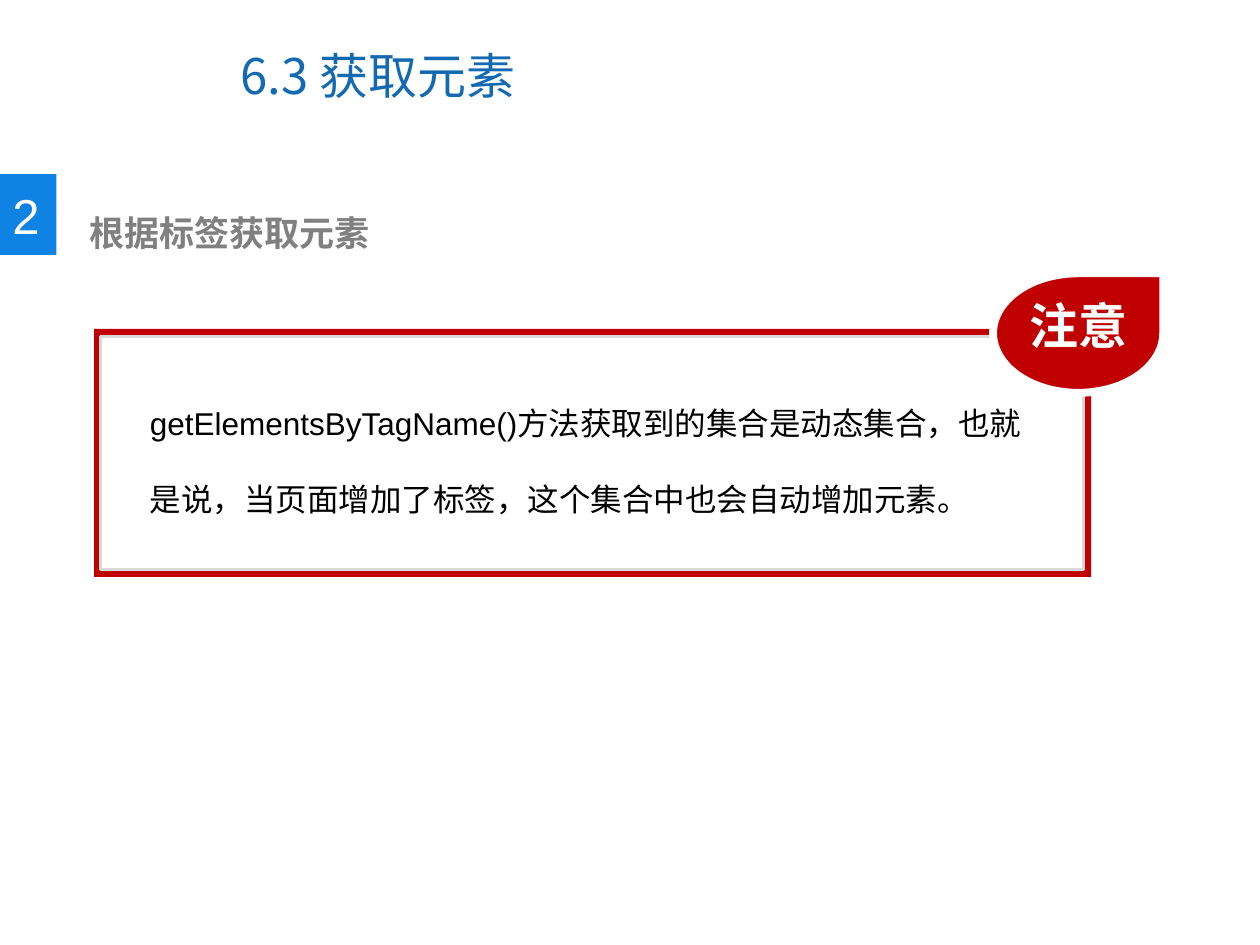
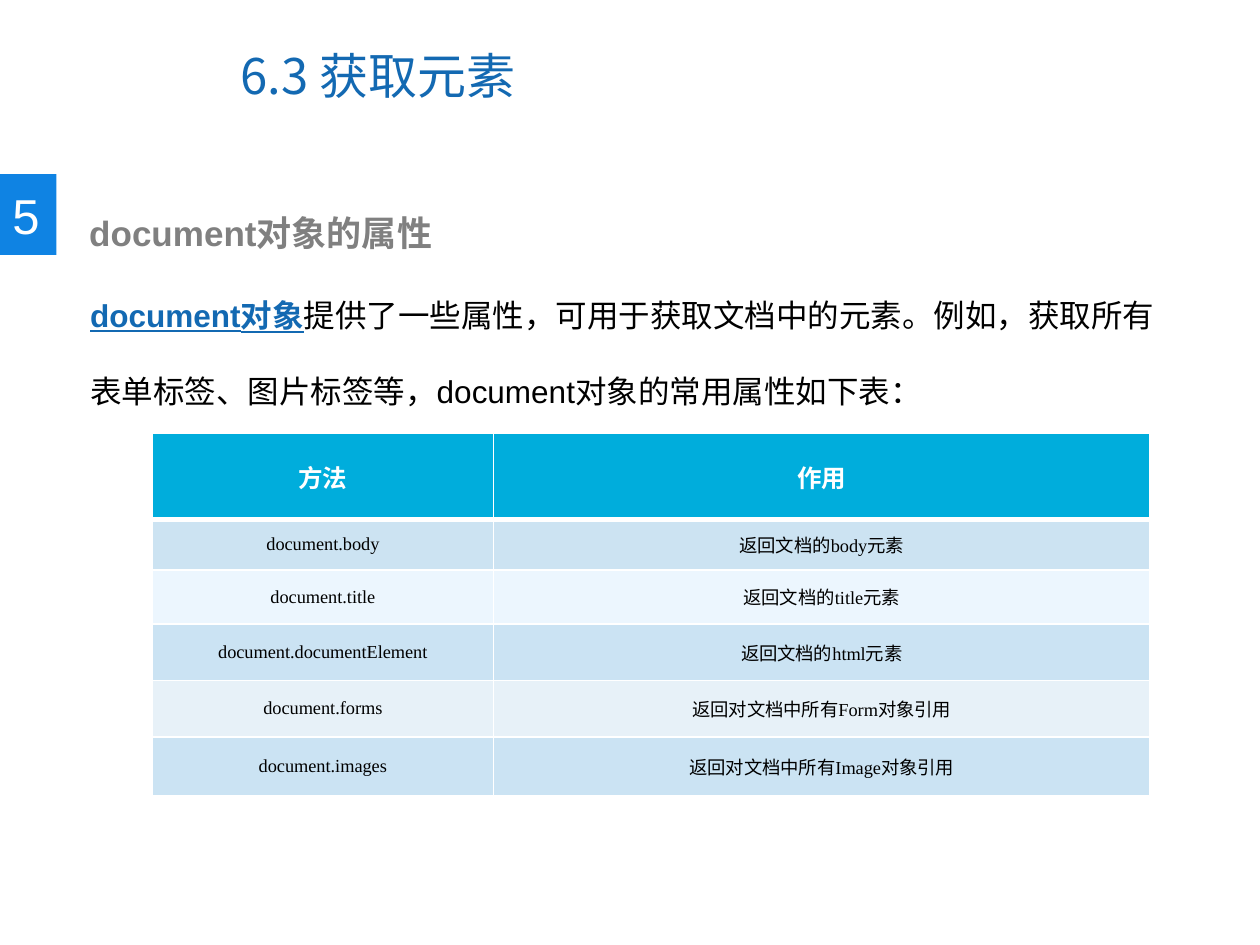
from pptx import Presentation
from pptx import util as u
from pptx.dml.color import RGBColor
from pptx.enum import shapes, text
from pptx.oxml import ns, xmlchemy

Cm, Pt = u.Cm, u.Pt
COLORS = {
    "title": "1369B2", "badge": "0F83E3", "heading": "808080",
    "warning": "C00000", "frame": "D9D9D9", "header": "00ADDC",
    "white": "FFFFFF", "black": "000000",
}
ROW_FILLS = ["CCE3F2", "ECF6FE", "CBE3F3", "E7F1F8", "CBE3F3"]
SANS, CJK, SERIF = "Arial", "Noto Sans CJK SC", "Times New Roman"
TITLE = "6.3 获取元素"


def rgb(color):
    return RGBColor.from_string(COLORS.get(color, color))


def style_run(r, size, color="black", font=SANS, bold=False, underline=False):
    """Format a run, with the shared East Asian font beside its Latin one."""
    r.font.name = font
    r.font.size = Pt(size)
    r.font.bold = bold
    r.font.underline = underline
    r.font.color.rgb = rgb(color)
    ea = xmlchemy.OxmlElement("a:ea")
    ea.set("typeface", CJK)
    r.font._element.find(ns.qn("a:latin")).addnext(ea)


def border_cell(cell, widths):
    """Draw white borders; widths are points for left, right, top, bottom."""
    tc_pr = cell._tc.get_or_add_tcPr()
    for side, width in zip("LRTB", widths):
        ln = xmlchemy.OxmlElement(f"a:ln{side}")
        ln.set("w", str(Pt(width)))
        fill = xmlchemy.OxmlElement("a:solidFill")
        clr = xmlchemy.OxmlElement("a:srgbClr")
        clr.set("val", COLORS["white"])
        fill.append(clr)
        ln.append(fill)
        tc_pr.append(ln)


class Deck:
    """Holds the presentation, its style and the current slide."""

    def __init__(self):
        self.prs = Presentation()
        self.prs.slide_width, self.prs.slide_height = Cm(25.4), Cm(19.05)
        self.s = None

    def section(self, number, heading):
        """Start a slide with the title, numbered badge and heading."""
        self.s = self.prs.slides.add_slide(self.prs.slide_layouts[5])
        sp = self.s.shapes.title
        sp.left, sp.top, sp.width, sp.height = Cm(4.6), Cm(0.43), Cm(13.1), Cm(2.16)
        sp.text_frame.text = TITLE
        p = sp.text_frame.paragraphs[0]
        p.alignment = text.PP_ALIGN.LEFT
        style_run(p.runs[0], 28, "title", CJK)
        self.shape("RECTANGLE", (0, 3.51, 1.14, 1.63), "badge")
        self.text((0, 3.61, 1.07, 1.45), [(number, dict(size=28, color="white"))],
                  wrap=False)
        self.text((1.55, 4.14, 12.7, 1.12),
                  [(heading, dict(size=20, color="heading", bold=True))])

    def shape(self, kind, box, fill, line=None, width=0):
        sp = self.s.shapes.add_shape(shapes.MSO_SHAPE[kind], *map(Cm, box))
        sp.shadow.inherit = False
        sp.fill.solid()
        sp.fill.fore_color.rgb = rgb(fill)
        if line:
            sp.line.color.rgb = rgb(line)
            sp.line.width = Pt(width)
        else:
            sp.line.fill.background()

    def text(self, box, runs, wrap=True, spacing=None):
        """Add a text box; runs are pairs of wording and style."""
        tf = self.s.shapes.add_textbox(*map(Cm, box)).text_frame
        tf.word_wrap = wrap
        tf.auto_size = text.MSO_AUTO_SIZE.SHAPE_TO_FIT_TEXT
        p = tf.paragraphs[0]
        p.line_spacing = spacing
        for wording, style in runs:
            r = p.add_run()
            r.text = wording
            style_run(r, **style)

    def table(self, left, top, widths, heights, rows):
        table = self.s.shapes.add_table(
            len(rows), len(widths), Cm(left), Cm(top),
            Cm(sum(widths)), Cm(sum(heights))).table
        for column, width in zip(table.columns, widths):
            column.width = Cm(width)
        for i, (row, height) in enumerate(zip(rows, heights)):
            table.rows[i].height = Cm(height)
            for j, wording in enumerate(row):
                self.cell(table.cell(i, j), wording, i)

    def cell(self, cell, wording, row):
        header = row == 0
        border_cell(cell, (1, 1, 3 if row == 1 else 1, 3 if header else 1))
        cell.fill.solid()
        cell.fill.fore_color.rgb = rgb("header" if header else ROW_FILLS[row - 1])
        cell.vertical_anchor = text.MSO_ANCHOR.MIDDLE
        cell.margin_left = cell.margin_right = Cm(0.2 if header else 0.18)
        cell.margin_top = cell.margin_bottom = 0
        cell.text_frame.text = wording
        p = cell.text_frame.paragraphs[0]
        p.alignment = text.PP_ALIGN.CENTER
        style_run(p.runs[0], 14 if header else 10.5,
                  "white" if header else "black", SERIF, header)


def add_note_slide(deck):
    deck.section("2", "根据标签获取元素")
    deck.shape("RECTANGLE", (1.9, 6.63, 20.1, 5), "warning")
    deck.shape("RECTANGLE", (2.03, 6.78, 19.81, 4.7), "white", "frame", 2)
    deck.shape("TEAR", (20.02, 5.51, 3.43, 2.41), "warning", "white", 4.5)
    deck.text((20.5, 5.84, 2.51, 1.45),
              [("注意", dict(size=28, color="white", font=CJK, bold=True))], wrap=False)
    deck.text((2.77, 7.26, 18.16, 3.33),
              [("getElementsByTagName()方法获取到的集合是动态集合，也就是说，"
                "当页面增加了标签，这个集合中也会自动增加元素。", dict(size=18))],
              spacing=2)


def add_properties_slide(deck):
    deck.section("5", "document对象的属性")
    deck.text((1.57, 5.08, 21.97, 3.33),
              [("document对象", dict(size=18, color="title", bold=True, underline=True)),
               ("提供了一些属性，可用于获取文档中的元素。例如，获取所有表单标签、"
                "图片标签等，document对象的常用属性如下表：", dict(size=18))],
              spacing=2)
    deck.table(3.07, 8.74, [6.88, 13.23], [1.73, 1.02, 1.09, 1.14, 1.14, 1.19], [
        ("方法", "作用"),
        ("document.body", "返回文档的body元素"),
        ("document.title", "返回文档的title元素"),
        ("document.documentElement", "返回文档的html元素"),
        ("document.forms", "返回对文档中所有Form对象引用"),
        ("document.images", "返回对文档中所有Image对象引用"),
    ])


def main():
    deck = Deck()
    add_note_slide(deck)
    add_properties_slide(deck)
    deck.prs.save("out.pptx")


if __name__ == "__main__":
    main()
